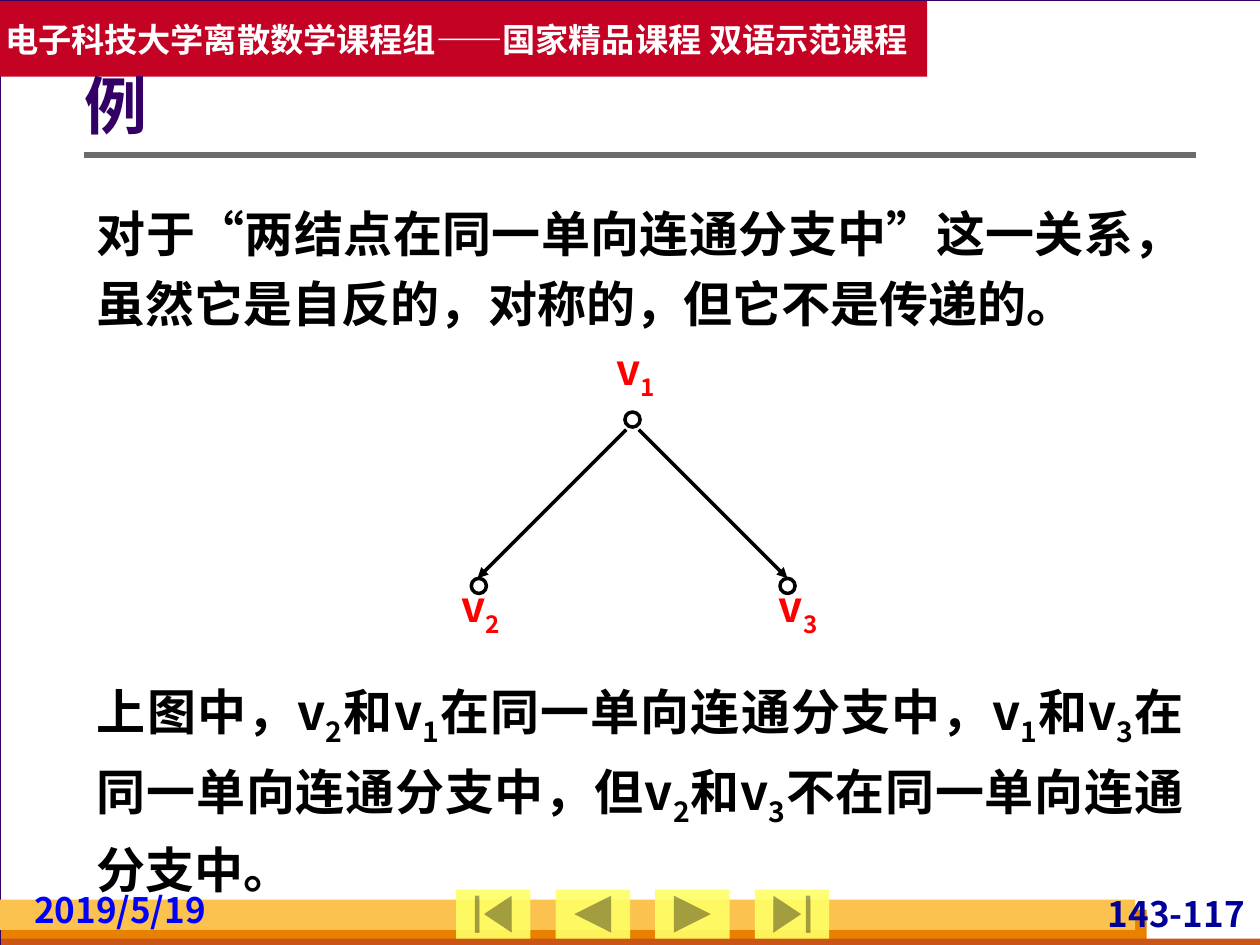
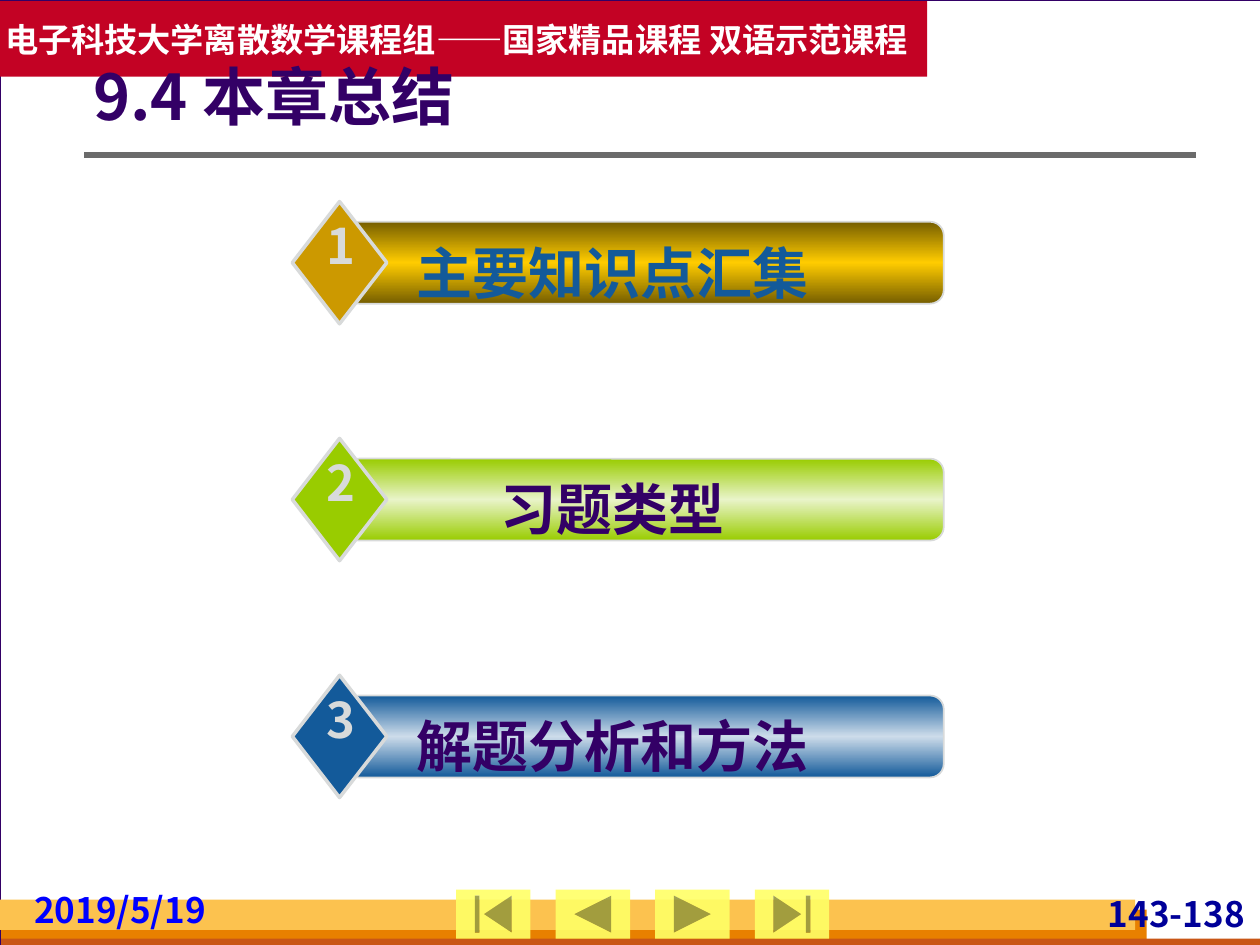
from copy import deepcopy

from lxml import etree
from pptx import Presentation
from pptx.dml.color import RGBColor
from pptx.enum import shapes as es, text as et
from pptx.oxml.ns import qn
from pptx.util import Inches, Pt

FONT = "Noto Sans CJK SC"
WHITE = RGBColor(0xFF, 0xFF, 0xFF)
BLACK = RGBColor(0, 0, 0)
RED = RGBColor(0xFF, 0, 0)
BLUE = RGBColor(0, 0, 0xFF)
NAVY = RGBColor(0, 0, 0x99)
PURPLE = RGBColor(0x33, 0, 0x66)
SILVER = RGBColor(0xD8, 0xDA, 0xDA)
GREY = RGBColor(0x6B, 0x6B, 0x6B)
CRIMSON = RGBColor(0xC3, 0x02, 0x24)
ORANGE = RGBColor(0xE8, 0x80, 0)
RUST = RGBColor(0xC9, 0x56, 0x16)
AMBER = RGBColor(0xFC, 0xC2, 0x4F)
YELLOW = RGBColor(0xFF, 0xFF, 0x66)
OCHRE = RGBColor(0xCC, 0x99, 0)
BROWN = RGBColor(0x76, 0x5E, 0)
GOLD = RGBColor(0xFF, 0xCC, 0)
LIME = RGBColor(0x99, 0xCC, 0)
PALE = RGBColor(0xE9, 0xF4, 0xC9)
STEEL = RGBColor(0x13, 0x5A, 0x9A)
MIST = RGBColor(0xCD, 0xDC, 0xEA)

KIND = es.MSO_SHAPE
LEFT, CENTER = et.PP_ALIGN.LEFT, et.PP_ALIGN.CENTER
RIGHT, JUSTIFY = et.PP_ALIGN.RIGHT, et.PP_ALIGN.JUSTIFY
PLAIN = (0.1, 0.05, 0.1, 0.05)
TIGHT = (0.04, 0, 0.04, 0)
BARE = (0, 0, 0, 0)


def write(frame, words, size, color, align=LEFT, inset=PLAIN, spacing=None,
          wrap=True, anchor=et.MSO_ANCHOR.TOP):
    """Fill a text frame; the character after each "_" is a subscript."""
    frame.word_wrap = wrap
    frame.vertical_anchor = anchor
    (frame.margin_left, frame.margin_top,
     frame.margin_right, frame.margin_bottom) = map(Inches, inset)
    para = frame.paragraphs[0]
    para.alignment = align
    para.space_before = Pt(0)
    if spacing:
        para.line_spacing = spacing
    font = para.font
    font.size, font.bold, font.name = Pt(size), True, FONT
    font.color.rgb = color
    latin = para._p.pPr.find(qn("a:defRPr")).find(qn("a:latin"))
    latin.addnext(etree.Element(qn("a:ea"), typeface=FONT))
    first, *rest = words.split("_")
    para.add_run().text = first
    for part in rest:
        sub = para.add_run()
        sub.text = part[0]
        sub._r.get_or_add_rPr().set("baseline", "-25000")
        if part[1:]:
            para.add_run().text = part[1:]


def label(group, box, words, size, color, grow=True, **style):
    frame = group.add_textbox(*map(Inches, box)).text_frame
    write(frame, words, size, color, **style)
    if grow:
        frame.auto_size = et.MSO_AUTO_SIZE.SHAPE_TO_FIT_TEXT


def block(group, kind, box, fill=None, line=None, width=1):
    shape = group.add_shape(kind, *map(Inches, box))
    shape.shadow.inherit = False
    if fill is None:
        shape.fill.background()
    else:
        shape.fill.solid()
        shape.fill.fore_color.rgb = fill
    if line is None:
        shape.line.fill.background()
    else:
        shape.line.color.rgb = line
        shape.line.width = Pt(width)
    return shape


def rule(group, start, end, color, width, arrow=False):
    line = group.add_connector(es.MSO_CONNECTOR.STRAIGHT,
                               *map(Inches, (*start, *end)))
    line.line.color.rgb = color
    line.line.width = Pt(width)
    if arrow:
        etree.SubElement(line.line._get_or_add_ln(), qn("a:tailEnd"),
                         type="triangle")
    etree.SubElement(line._element.spPr, qn("a:effectLst"))


def shade(shape, edge, core):
    """Vertical gradient, edge to core to edge."""
    shape.fill.gradient()
    shape.fill.gradient_angle = 90
    stops = shape._element.spPr.find(qn("a:gradFill")).find(qn("a:gsLst"))
    stops.insert(1, deepcopy(stops[0]))
    for i, (stop, color) in enumerate(
            zip(shape.fill.gradient_stops, (edge, core, edge))):
        stop.color.rgb = color
        stop.position = i / 2


def start(deck, title, box, number):
    """Add a slide with the shared frame, bands, buttons and title."""
    slide = deck.slides.add_slide(deck.slide_layouts[5])
    slide.background.fill.solid()
    slide.background.fill.fore_color.rgb = SILVER
    group = slide.shapes
    block(group, KIND.RECTANGLE, (0, 0, 10.01, 7.5), WHITE, PURPLE, 0.75)
    for band, color in (((0.01, 7.22, 9.09, 0.28), ORANGE),
                        ((0.01, 7.45, 10, 0.08), RUST),
                        ((0, 7.14, 9.01, 0.24), AMBER)):
        block(group, KIND.RECTANGLE, band, color)
    label(group, (8.7, 7.08, 1.22, 0.33), number, 20, NAVY,
          align=RIGHT, inset=TIGHT)
    rule(group, (0.67, 1.23), (9.49, 1.23), GREY, 3)
    buttons = (KIND.ACTION_BUTTON_BEGINNING,
               KIND.ACTION_BUTTON_BACK_OR_PREVIOUS,
               KIND.ACTION_BUTTON_FORWARD_OR_NEXT, KIND.ACTION_BUTTON_END)
    for i, kind in enumerate(buttons):
        button = block(group, kind, (3.62 + 0.79 * i, 7.06, 0.59, 0.39),
                       YELLOW)
        tint = button._element.spPr.find(qn("a:solidFill"))[0]
        etree.SubElement(tint, qn("a:alpha"), val="90000")
    banner = block(group, KIND.RECTANGLE, (0, 0.01, 7.36, 0.6), CRIMSON)
    write(banner.text_frame,
          "电子科技大学离散数学课程组——国家精品课程 双语示范课程",
          19, WHITE, inset=(0.04, 0.05, 0.04, 0.05), wrap=False,
          anchor=et.MSO_ANCHOR.MIDDLE)
    label(group, (0.23, 7.05, 1.65, 0.33), "2019/5/19", 20, BLUE,
          inset=TIGHT)
    head = group.title
    head.left, head.top, head.width, head.height = map(Inches, box)
    write(head.text_frame, title, 36, PURPLE, inset=(0, 0.05, 0.1, 0.05),
          spacing=0.9, anchor=et.MSO_ANCHOR.MIDDLE)
    group._spTree.append(head._element)  # in front of the banner
    return slide


def graph(slide):
    group = slide.shapes.add_group_shape().shapes
    mid, reach = 5.02, 1.23
    for side in (1, -1):
        rule(group, (mid + 0.05 * side, 3.41), (mid + reach * side, 4.59),
             BLACK, 2, arrow=True)
    nodes = (("v_1", mid, 3.27, 4.81, 2.73),
             ("v_2", mid - reach + 0.01, 4.59, 3.58, 4.61),
             ("v_3", mid + reach, 4.59, 6.1, 4.61))
    for name, x, y, left, top in nodes:
        block(group, KIND.OVAL, (x - 0.06, y, 0.12, 0.12), line=BLACK,
              width=2)
        label(group, (left, top, 0.47, 0.59), name, 24, RED, grow=False,
              align=CENTER, inset=BARE)


def topic(slide, row, words, ink, gem, edge, core):
    """One numbered bar with a diamond at its left end."""
    group = slide.shapes.add_group_shape().shapes
    mid = 2.08 + 1.88 * row
    bar = block(group, KIND.ROUNDED_RECTANGLE, (2.74, mid - 0.32, 4.75, 0.65),
                edge, SILVER)
    bar.adjustments[0] = 0.167
    shade(bar, edge, core)
    block(group, KIND.DIAMOND, (2.32, mid - 0.48, 0.75, 0.97), gem, SILVER, 2)
    label(group, (2.99, mid - 0.24, 3.75, 0.63), words, 32, ink, align=CENTER)
    label(group, (2.49, mid - 0.42, 0.4, 0.57), str(row + 1), 28, SILVER,
          align=CENTER, wrap=False)


def main():
    deck = Presentation()
    deck.slide_width, deck.slide_height = Inches(10), Inches(7.5)

    case = start(deck, "例", (0.67, 0.36, 8.82, 1.01), "143-117")
    prose = {"align": JUSTIFY, "spacing": 1.2}
    label(case.shapes, (0.67, 1.47, 8.82, 1.22),
          "对于“两结点在同一单向连通分支中”这一关系，"
          "虽然它是自反的，对称的，但它不是传递的。", 28, BLACK, **prose)
    graph(case)
    label(case.shapes, (0.67, 5.25, 8.82, 1.78),
          "上图中，v_2和v_1在同一单向连通分支中，v_1和v_3在同一单向连通分支中，"
          "但v_2和v_3不在同一单向连通分支中。", 28, BLACK, **prose)

    recap = start(deck, "9.4 本章总结", (0.74, 0.41, 8.68, 0.77), "143-138")
    topics = (("主要知识点汇集", STEEL, OCHRE, BROWN, GOLD),
              ("习题类型", PURPLE, LIME, LIME, PALE),
              ("解题分析和方法", PURPLE, STEEL, STEEL, MIST))
    for row, item in enumerate(topics):
        topic(recap, row, *item)

    deck.save("out.pptx")


if __name__ == "__main__":
    main()
